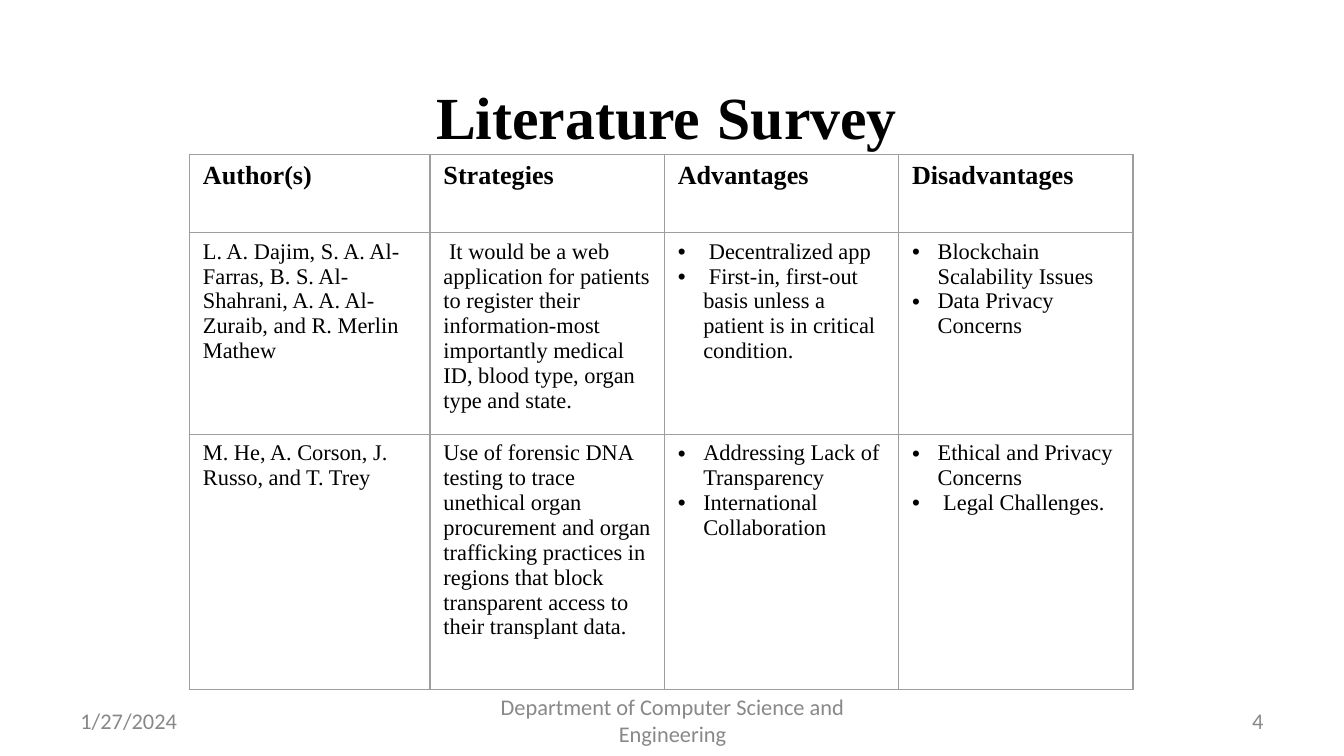
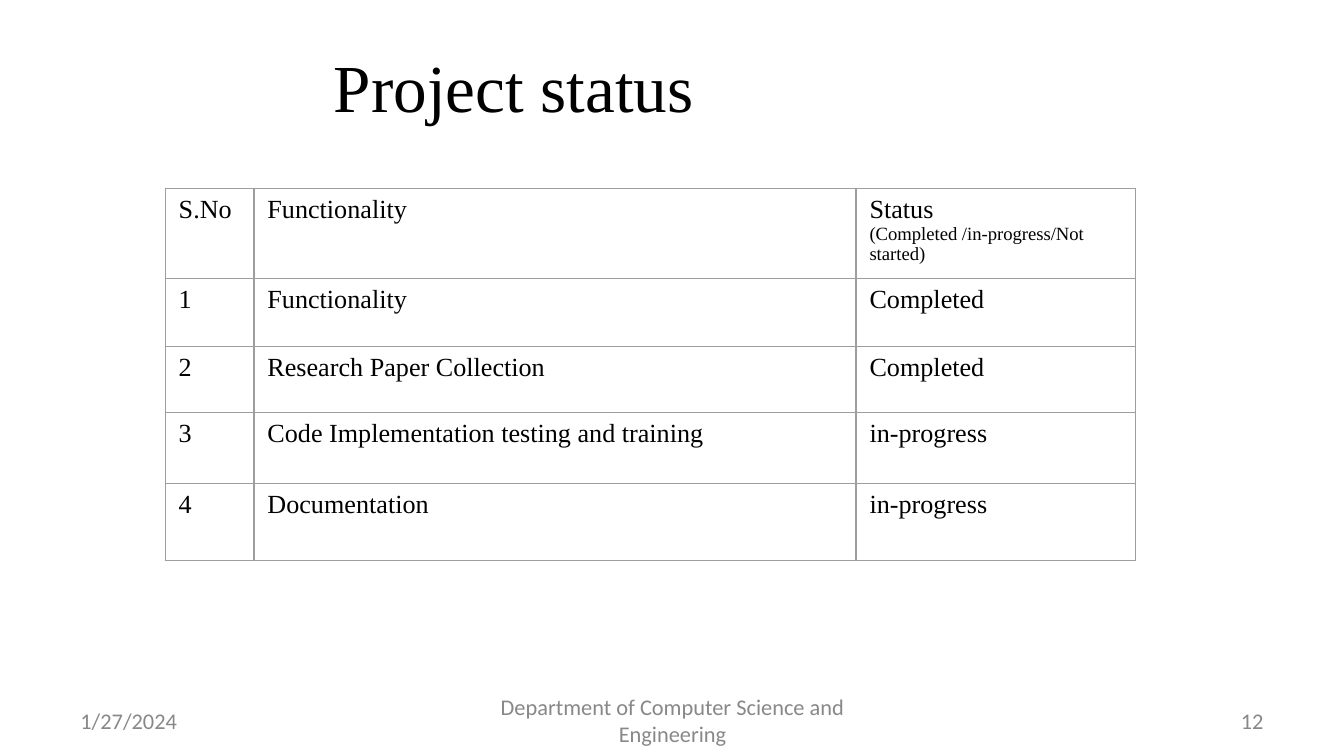
from dataclasses import dataclass

from lxml.etree import SubElement
from pptx import Presentation
from pptx.dml.color import RGBColor as Rgb
from pptx.enum.text import MSO_ANCHOR as Anchor, MSO_AUTO_SIZE as AutoSize, PP_ALIGN as Align
from pptx.oxml import parse_xml
from pptx.oxml.ns import nsdecls, qn
from pptx.util import Inches, Pt


@dataclass(frozen=True)
class Theme:
    ink: str = "000000"
    muted: str = "888888"
    rule: str = "9E9E9E"
    serif: str = "Times New Roman"
    sans: str = "Calibri"
    title: int = 36
    title_bold: int = 32
    heading: int = 14
    body: int = 12
    note: int = 10
    rule_width: float = 0.75
    bullet_indent: float = 0.19


THEME = Theme()
TITLE_ONLY = 5
SLIDE_WIDTH = Inches(10)
SLIDE_HEIGHT = SLIDE_WIDTH * 9 // 16


@dataclass(frozen=True)
class Line:
    """One paragraph of a table cell."""
    text: str
    size: int = THEME.body
    bold: bool = False
    bullet: bool = False


def head(text, bold=False):
    return [Line(text, THEME.heading, bold)]


def plain(text):
    return [Line(text)]


def bullets(*texts):
    return [Line(text, bullet=True) for text in texts]


# Text
def add_run(paragraph, text, size, font=THEME.serif, color=THEME.ink, bold=False):
    run = paragraph.add_run()
    run.text = text
    run.font.name = font
    run.font.size = Pt(size)
    run.font.bold = bold
    run.font.color.rgb = Rgb.from_string(color)


def add_bullet(paragraph):
    props = paragraph._p.get_or_add_pPr()
    indent = Inches(THEME.bullet_indent)
    props.set("marL", str(indent))
    props.set("indent", str(-indent))
    color = SubElement(props, qn("a:buClr"))
    SubElement(color, qn("a:srgbClr"), val=THEME.ink)
    SubElement(props, qn("a:buFont"), typeface="Arial")
    SubElement(props, qn("a:buChar"), char="•")


def set_title(slide, box, runs, left_inset=0.1):
    title = slide.shapes.title
    title.left, title.top, title.width, title.height = map(Inches, box)
    frame = title.text_frame
    frame.auto_size = AutoSize.NONE
    frame.vertical_anchor = Anchor.BOTTOM
    frame.margin_left = Inches(left_inset)
    frame.margin_bottom = 0
    paragraph = frame.paragraphs[0]
    paragraph.alignment = Align.CENTER
    for text, size, bold in runs:
        add_run(paragraph, text, size, bold=bold)


# Footer: date, department, page number
def add_footer(slide, page):
    parts = (
        (0.5, 2.33, Align.LEFT, "1/27/2024"),
        (3.42, 3.17, Align.CENTER, "Department of Computer Science and Engineering"),
        (7.17, 2.33, Align.RIGHT, str(page)),
    )
    for left, width, align, text in parts:
        box = slide.shapes.add_textbox(Inches(left), Inches(5.21), Inches(width), Inches(0.3))
        frame = box.text_frame
        frame.word_wrap = True
        frame.vertical_anchor = Anchor.MIDDLE
        paragraph = frame.paragraphs[0]
        paragraph.alignment = align
        add_run(paragraph, text, THEME.body, THEME.sans, THEME.muted)


# Tables
def rule_cell(cell):
    cell.fill.background()
    props = cell._tc.get_or_add_tcPr()
    for place, side in enumerate(("lnL", "lnR", "lnT", "lnB")):
        props.insert(place, parse_xml(
            f'<a:{side} {nsdecls("a")} w="{Pt(THEME.rule_width)}"><a:solidFill>'
            f'<a:srgbClr val="{THEME.rule}"/></a:solidFill></a:{side}>'))


def fill_cell(cell, lines):
    rule_cell(cell)
    frame = cell.text_frame
    for index, line in enumerate(lines):
        paragraph = frame.add_paragraph() if index else frame.paragraphs[0]
        if line.bullet:
            add_bullet(paragraph)
        add_run(paragraph, line.text, line.size, bold=line.bold)


def add_ruled_table(slide, left, top, widths, heights, rows):
    table = slide.shapes.add_table(
        len(heights), len(widths), Inches(left), Inches(top),
        Inches(sum(widths)), Inches(sum(heights))).table
    table.first_row = table.horz_banding = False
    for column, width in zip(table.columns, widths):
        column.width = Inches(width)
    for row, height, contents in zip(table.rows, heights, rows):
        row.height = Inches(height)
        for cell, lines in zip(row.cells, contents):
            fill_cell(cell, lines)


# Slides
def add_slide(deck, page):
    slide = deck.slides.add_slide(deck.slide_layouts[TITLE_ONLY])
    add_footer(slide, page)
    return slide


def add_literature_survey(deck):
    slide = add_slide(deck, 4)
    set_title(slide, (0.5, 0.06, 6.67, 1.08), [
        ("Literature", THEME.title_bold, True),
        (" ", THEME.title, False),
        ("Survey", THEME.title_bold, True),
    ], left_inset=2.35)
    headings = ("Author(s)", "Strategies", "Advantages", "Disadvantages")
    papers = [
        [plain("L. A. Dajim, S. A. Al-Farras, B. S. Al-Shahrani, A. A. Al-Zuraib, "
               "and R. Merlin Mathew"),
         plain(" It would be a web application for patients to register their "
               "information-most importantly medical ID, blood type, organ type and state."),
         bullets(" Decentralized app",
                 " First-in, first-out basis unless a patient is in critical condition."),
         bullets("Blockchain Scalability Issues", "Data Privacy Concerns")],
        [plain("M. He, A. Corson, J. Russo, and T. Trey"),
         plain("Use of forensic DNA testing to trace unethical organ procurement and organ "
               "trafficking practices in regions that block transparent access to their "
               "transplant data."),
         bullets("Addressing Lack of Transparency", "International Collaboration"),
         bullets("Ethical and Privacy Concerns", " Legal Challenges.")],
    ]
    table_width, author_width = 7.02, 1.79
    other_width = (table_width - author_width) / 3
    add_ruled_table(slide, 1.41, 1.15, [author_width] + [other_width] * 3, (0.58, 1.5, 1.9),
                    [[head(text, bold=True) for text in headings], *papers])


def add_project_status(deck):
    slide = add_slide(deck, 12)
    set_title(slide, (0.48, 0.25, 6.69, 0.69), [("Project status", THEME.title, False)])
    status_heading = head("Status") + [Line("(Completed /in-progress/Not started)", THEME.note)]
    tasks = (
        ("Functionality", "Completed"),
        ("Research Paper Collection", "Completed"),
        ("Code Implementation testing and training", "in-progress"),
        ("Documentation", "in-progress"),
    )
    rows = [[head("S.No"), head("Functionality"), status_heading]]
    for number, (task, status) in enumerate(tasks, 1):
        rows.append([head(str(number)), head(task), head(status)])
    add_ruled_table(slide, 1.23, 1.4, (0.66, 4.48, 2.08), (0.67, 0.51, 0.49, 0.53, 0.57), rows)


def main():
    deck = Presentation()
    deck.slide_width, deck.slide_height = SLIDE_WIDTH, SLIDE_HEIGHT
    add_literature_survey(deck)
    add_project_status(deck)
    deck.save("out.pptx")


if __name__ == "__main__":
    main()
